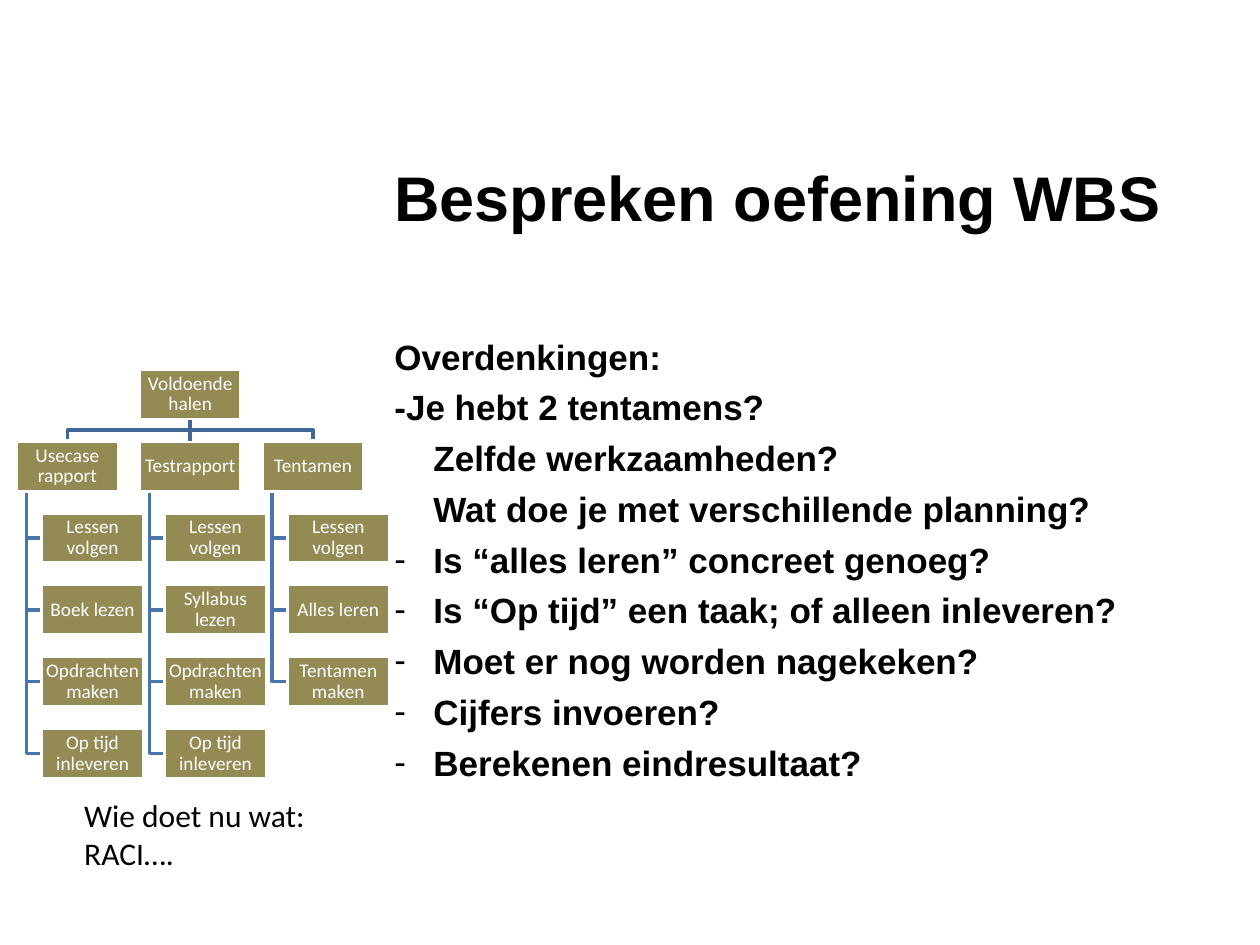
from lxml import etree
from pptx import Presentation
from pptx.dml.color import RGBColor
from pptx.enum import shapes, text
from pptx.oxml import ns
from pptx.util import Inches, Pt

WIDE, HIGH = 0.81, 0.4
LEFT, TOP = 0.13, 3.5
STEP, PITCH = 0.975, 0.57
TREE = [
    ("Usecase rapport", ["Lessen volgen", "Boek lezen", "Opdrachten maken", "Op tijd inleveren"]),
    ("Testrapport", ["Lessen volgen", "Syllabus lezen", "Opdrachten maken", "Op tijd inleveren"]),
    ("Tentamen", ["Lessen volgen", "Alles leren", "Tentamen maken"]),
]
POINTS = [
    ("Overdenkingen:", "flat"),
    ("-Je hebt 2 tentamens?", "flat"),
    ("Zelfde werkzaamheden?", "inset"),
    ("Wat doe je met verschillende planning?", "inset"),
    ("Is “alles leren” concreet genoeg?", "dash"),
    ("Is “Op tijd” een taak; of alleen inleveren?", "dash"),
    ("Moet er nog worden nagekeken?", "dash"),
    ("Cijfers invoeren?", "dash"),
    ("Berekenen eindresultaat?", "dash"),
]


def color(code):
    return RGBColor.from_string(code)


def style(para, face, size, code, bold=False):
    font = para.font
    font.name, font.size, font.bold = face, Pt(size), bold
    font.color.rgb = color(code)


def place(shape, left, top, width, height):
    shape.left, shape.top = Inches(left), Inches(top)
    shape.width, shape.height = Inches(width), Inches(height)


def bullet(para, kind):
    props = para._p.get_or_add_pPr()
    props.set("marL", str(0 if kind == "flat" else Inches(0.31)))
    props.set("indent", str(Inches(-0.31) if kind == "dash" else 0))
    if kind == "dash":
        font = etree.SubElement(props, ns.qn("a:buFont"))
        font.set("typeface", "Arial")
        mark = etree.SubElement(props, ns.qn("a:buChar"))
        mark.set("char", "-")
    else:
        etree.SubElement(props, ns.qn("a:buNone"))


def add_title(slide):
    title = slide.shapes.title
    place(title, 3.03, 1.2, 6.67, 0.71)
    frame = title.text_frame
    frame.text = "Bespreken oefening WBS"
    frame.auto_size = text.MSO_AUTO_SIZE.NONE
    frame.vertical_anchor = text.MSO_ANCHOR.MIDDLE
    para = frame.paragraphs[0]
    para.alignment = text.PP_ALIGN.LEFT
    style(para, "Arial", 36, "000000", True)


def add_body(slide):
    body = slide.placeholders[1]
    place(body, 3.03, 2.61, 6.67, 4.32)
    frame = body.text_frame
    frame.text = "\n".join(line for line, kind in POINTS)
    frame.auto_size = text.MSO_AUTO_SIZE.NONE
    for para, (line, kind) in zip(frame.paragraphs, POINTS):
        para.space_before = Pt(5)
        bullet(para, kind)
        style(para, "Arial", 20, "000000", True)


def add_box(slide, label, left, top):
    box = slide.shapes.add_shape(
        shapes.MSO_SHAPE.RECTANGLE, Inches(left), Inches(top), Inches(WIDE), Inches(HIGH))
    box.shadow.inherit = False
    box.fill.solid()
    box.fill.fore_color.rgb = color("948A54")
    box.line.color.rgb = color("FFFFFF")
    box.line.width = Pt(2)
    frame = box.text_frame
    frame.word_wrap = True
    frame.vertical_anchor = text.MSO_ANCHOR.MIDDLE
    frame.margin_left = frame.margin_right = Inches(0.01)
    frame.margin_top = frame.margin_bottom = Inches(0.01)
    frame.text = label
    para = frame.paragraphs[0]
    para.alignment = text.PP_ALIGN.CENTER
    para.line_spacing = 0.9
    style(para, "Calibri", 11, "FFFFFF")
    return box


def add_bend(slide, dots, code):
    spots = [(Inches(x), Inches(y)) for x, y in dots]
    build = slide.shapes.build_freeform(*spots[0], scale=1.0)
    build.add_line_segments(spots[1:], close=False)
    bend = build.convert_to_shape()
    bend.shadow.inherit = False
    bend.fill.background()
    bend.line.color.rgb = color(code)
    bend.line.width = Pt(2)


def add_link(slide, upper, lower):
    link = slide.shapes.add_connector(shapes.MSO_CONNECTOR.STRAIGHT, 0, 0, 0, 0)
    link.begin_connect(upper, 2)
    link.end_connect(lower, 0)
    link.line.color.rgb = color("3F6797")
    link.line.width = Pt(2)
    etree.SubElement(link._element.spPr, ns.qn("a:effectLst"))


def add_tree(slide):
    crown = TOP - PITCH
    mid = LEFT + STEP + WIDE / 2
    base = crown + HIGH
    fork = (base + TOP) / 2
    heads = []
    for col, (head, tasks) in enumerate(TREE):
        left = LEFT + col * STEP
        stem = left + 0.08
        if col != 1:
            end = left + WIDE / 2
            add_bend(slide, [(mid, base), (mid, fork), (end, fork), (end, TOP)], "3F6797")
        for row, task in enumerate(tasks, 1):
            top = TOP + row * PITCH
            side = top + HIGH / 2
            add_bend(slide, [(stem, TOP + HIGH), (stem, side), (left + 0.2, side)], "4875AC")
            add_box(slide, task, left + 0.2, top)
        heads.append(add_box(slide, head, left, TOP))
    root = add_box(slide, "Voldoende halen", LEFT + STEP, crown)
    add_link(slide, root, heads[1])


def add_note(slide):
    note = slide.shapes.add_textbox(Inches(0.57), Inches(6.27), Inches(2.08), Inches(0.71))
    frame = note.text_frame
    frame.word_wrap = False
    frame.text = "Wie doet nu wat:\nRACI…."
    for para in frame.paragraphs:
        style(para, "Calibri", 18, "000000")


def main():
    deck = Presentation()
    deck.slide_width, deck.slide_height = Inches(10), Inches(7.5)
    slide = deck.slides.add_slide(deck.slide_layouts[1])
    add_title(slide)
    add_body(slide)
    add_tree(slide)
    add_note(slide)
    deck.save("out.pptx")


if __name__ == "__main__":
    main()
